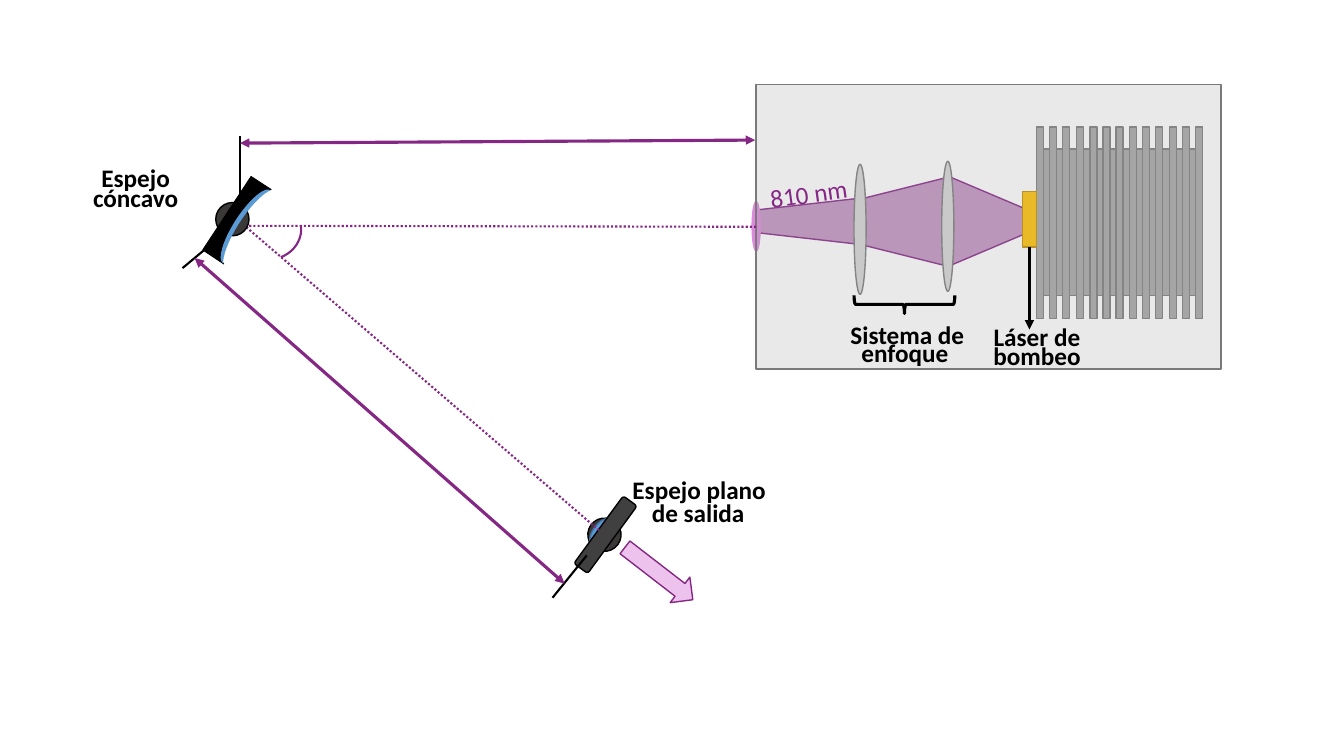
"""Draw the laser cavity diagram with its mirrors, lenses and pump laser."""
from math import cos, pi, radians, sin

from lxml.etree import SubElement
from pptx import Presentation
from pptx.dml.color import RGBColor
from pptx.enum.dml import MSO_LINE as Dash
from pptx.enum.shapes import MSO_CONNECTOR as Connector, MSO_SHAPE as Shape
from pptx.enum.text import MSO_AUTO_SIZE as AutoSize, PP_ALIGN as Align
from pptx.oxml.ns import qn
from pptx.util import Pt

PX = 9144
BLACK = RGBColor(0, 0, 0)
PURPLE = RGBColor(0x85, 0x27, 0x85)
PINK = RGBColor(0xDC, 0x88, 0xDC)
GRAY = RGBColor(0xA5, 0xA5, 0xA5)
EDGE_GRAY = RGBColor(0x7A, 0x7A, 0x7A)
LENS_GRAY = RGBColor(0xD5, 0xD5, 0xD5)
GOLD = RGBColor(0xFF, 0xC0, 0x00)
EDGE_GOLD = RGBColor(0xBD, 0x8E, 0x00)
BLUE = RGBColor(0x5B, 0x9B, 0xD5)
EDGE_BLUE = RGBColor(0x43, 0x73, 0x9E)
MOUNT = RGBColor(0x3B, 0x38, 0x38)
PLATE = RGBColor(0x40, 0x40, 0x40)


def paint(shape, fill, line, width=1, alpha=None):
    """Set the fill, outline and opacity percentage of a shape."""
    shape.shadow.inherit = False
    if fill is None:
        shape.fill.background()
    else:
        shape.fill.solid()
        shape.fill.fore_color.rgb = fill
    if alpha is not None:
        color = shape.fill._xPr.find(qn("a:solidFill"))[0]
        SubElement(color, qn("a:alpha"), val=str(alpha * 1000))
    if line is None:
        shape.line.fill.background()
    else:
        shape.line.color.rgb = line
        shape.line.width = Pt(width)


def add_part(page, kind, at, fill, line, turn=0, width=1, alpha=None, adjust=()):
    """Add a preset shape at (left, top, width, height) in px."""
    shape = page.shapes.add_shape(kind, *(value * PX for value in at))
    shape.rotation = turn
    for index, value in enumerate(adjust):
        shape.adjustments[index] = value
    paint(shape, fill, line, width, alpha)


def add_line(page, start, end, color, width, dash=None, head=False, tail=False):
    """Add a straight line, dotted or with arrowheads on request."""
    ends = (value * PX for value in start + end)
    line = page.shapes.add_connector(Connector.STRAIGHT, *ends)
    line.line.color.rgb = color
    line.line.width = Pt(width)
    if dash is not None:
        line.line.dash_style = dash
    outline = line.line._get_or_add_ln()
    for wanted, tag in ((head, "a:headEnd"), (tail, "a:tailEnd")):
        if wanted:
            SubElement(outline, qn(tag), type="triangle")
    SubElement(line._element.spPr, qn("a:effectLst"))


def add_label(page, text, at, color=BLACK, bold=True, turn=0):
    """Add one line of centred text at (left, top, width) in px."""
    left, top, width = at
    box = page.shapes.add_textbox(left * PX, top * PX, width * PX, 40 * PX)
    box.rotation = turn
    box.text_frame.word_wrap = False
    box.text_frame.auto_size = AutoSize.SHAPE_TO_FIT_TEXT
    para = box.text_frame.paragraphs[0]
    para.text = text
    para.alignment = Align.CENTER
    para.font.name = "Calibri"
    para.font.size = Pt(18)
    para.font.bold = bold
    para.font.color.rgb = color


def add_concave_mirror(page):
    """Add the concave mirror: round mount, black body and blue face."""
    add_part(page, Shape.OVAL, (214, 201, 33, 33), MOUNT, BLACK)
    tilt = radians(33)
    center_x, center_y, half, depth = 240, 222, 43, 11
    points = [(222, 262), (201, 248), (249, 175), (269, 188)]
    for step in range(1, 16):
        angle = pi * step / 16
        across, along = 6 - depth * sin(angle), -half * cos(angle)
        points.append((round(center_x + across * cos(tilt) - along * sin(tilt)),
                       round(center_y + across * sin(tilt) + along * cos(tilt))))
    builder = page.shapes.build_freeform(*points[0], scale=PX)
    builder.add_line_segments(points[1:])
    paint(builder.convert_to_shape(), BLACK, BLACK, 0.5)
    add_part(page, Shape.MOON, (233, 178, 13, 87), BLUE, None, 33, adjust=[0.35])


def add_pump_module(page):
    """Add the pump laser with its beam, heat sink, lenses and housing."""
    for kind, at, turn in ((Shape.ISOSCELES_TRIANGLE, (949, 167, 89, 105), 90),
                           (Shape.TRAPEZOID, (853, 176, 89, 88), 270),
                           (Shape.TRAPEZOID, (780, 169, 46, 101), 270)):
        add_part(page, kind, at, PURPLE, PURPLE, turn, alpha=50)
    add_part(page, Shape.OVAL, (746, 200, 8, 49), PINK, PINK)
    add_part(page, Shape.RECTANGLE, (1028, 148, 165, 145), GRAY, EDGE_GRAY)
    for fin in range(13):
        left = 1028 + round(fin * 158 / 12)
        add_part(page, Shape.RECTANGLE, (left, 126, 7, 190), GRAY, EDGE_GRAY)
    add_part(page, Shape.RECTANGLE, (1014, 190, 14, 55), GOLD, EDGE_GOLD)
    for left, top in ((934, 160), (847, 163)):
        add_part(page, Shape.OVAL, (left, top, 12, 129), LENS_GRAY, EDGE_GRAY)
    add_part(page, Shape.RECTANGLE, (749, 167, 1, 120), BLACK, BLACK)
    add_part(page, Shape.RECTANGLE, (750, 84, 461, 282), GRAY, EDGE_GRAY, alpha=24)
    add_label(page, "810 nm", (753, 172, 98), PURPLE, bold=False, turn=352)
    add_part(page, Shape.RIGHT_BRACE, (888, 252, 18, 100), None, BLACK, 90, 2.25)
    add_line(page, (1021, 245), (1021, 327), BLACK, 2.25, tail=True)


def add_output_mirror(page):
    """Add the flat output mirror and its mount."""
    turn = 36.2
    add_part(page, Shape.OVAL, (583, 514, 33, 33), MOUNT, BLACK, turn)
    add_part(page, Shape.OVAL, (588, 512, 18, 33), BLUE, EDGE_BLUE, turn)
    add_part(page, Shape.ROUNDED_RECTANGLE, (592, 489, 17, 83), PLATE, BLACK, turn)


def main():
    """Build the slide and save it."""
    deck = Presentation()
    deck.slide_width, deck.slide_height = 1333 * PX, 750 * PX
    page = deck.slides.add_slide(deck.slide_layouts[6])

    add_pump_module(page)
    add_output_mirror(page)
    for start, end in (((750, 225), (231, 224)), ((594, 526), (238, 220))):
        add_line(page, start, end, PURPLE, 1.5, dash=Dash.ROUND_DOT)
    add_concave_mirror(page)
    for start, end in (((238, 135), (238, 204)), ((223, 231), (181, 266)),
                       ((582, 551), (548, 593))):
        add_line(page, start, end, BLACK, 1.5)
    for start, end in (((238, 142), (749, 139)), ((193, 256), (560, 579))):
        add_line(page, start, end, PURPLE, 2.25, head=True, tail=True)
    add_part(page, Shape.RIGHT_ARROW, (611, 553, 85, 32), PINK, PURPLE, 37.7, alpha=50)
    add_part(page, Shape.ARC, (240, 198, 57, 61), None, PURPLE, 69.3, 1.5,
             adjust=[170.03, 0])
    for text, at in (("Sistema de", (833, 312, 134)), ("enfoque", (844, 330, 107)),
                     ("Láser de", (975, 314, 107)), ("bombeo", (975, 333, 107)),
                     ("Espejo", (90, 156, 89)), ("cóncavo", (82, 176, 105)),
                     ("Espejo plano", (617, 466, 153)), ("de salida", (636, 488, 113))):
        add_label(page, text, at)

    deck.save("out.pptx")


if __name__ == "__main__":
    main()
